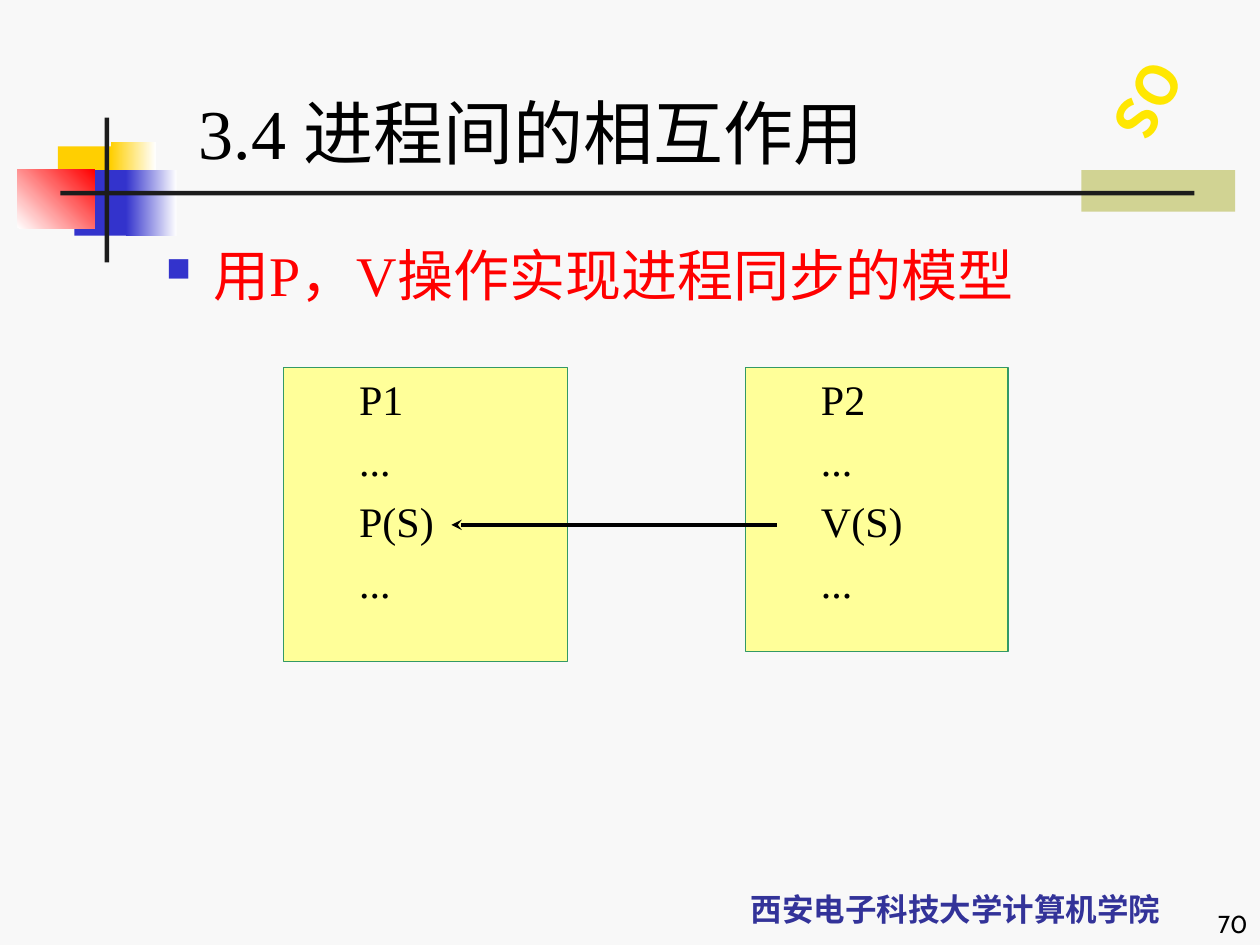
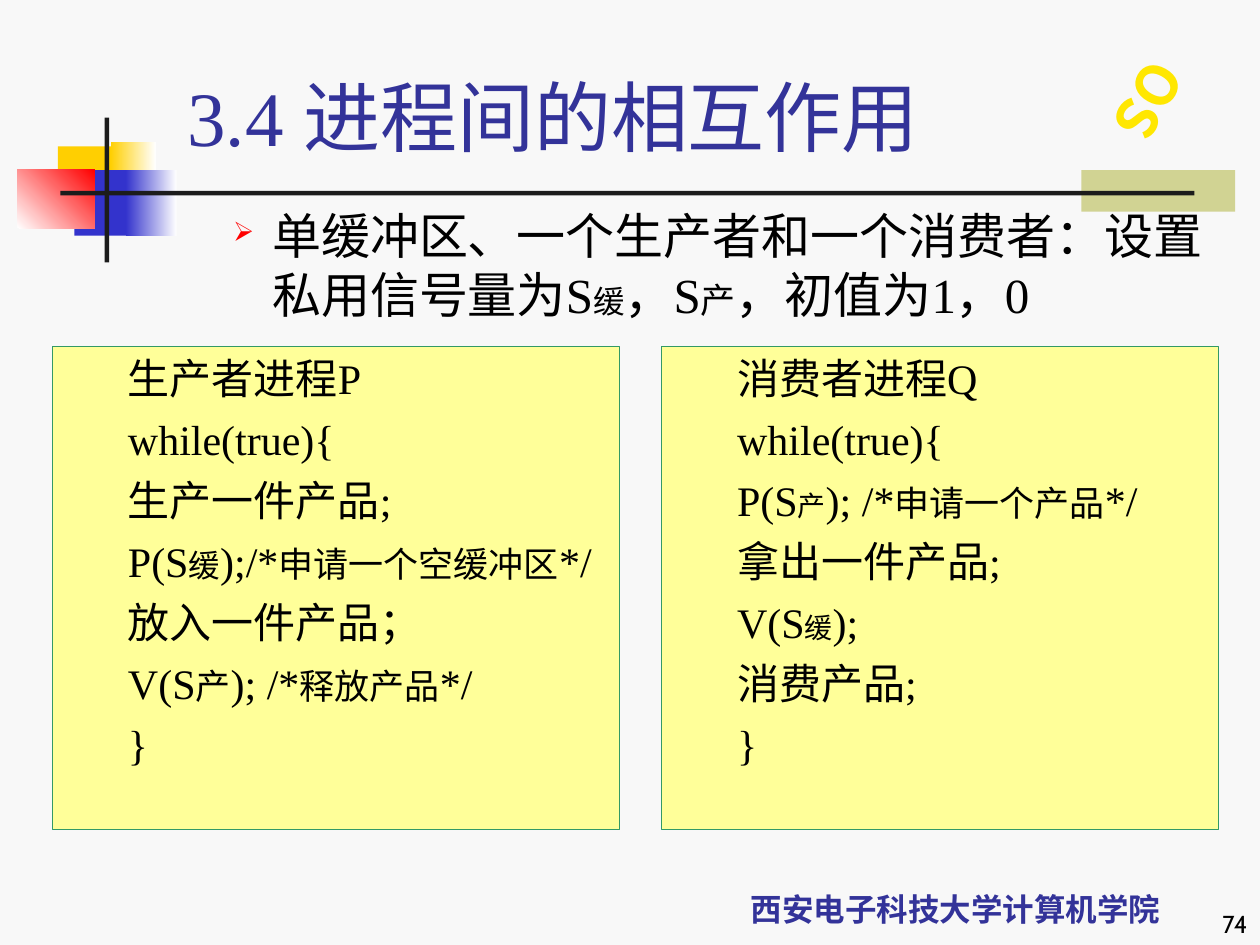
import pptx
import pptx.dml.color
import pptx.enum.shapes
import pptx.enum.text
import pptx.oxml.ns
import pptx.util
from lxml import etree

Cm = pptx.util.Cm
Pt = pptx.util.Pt
ALIGN = pptx.enum.text.PP_ALIGN
ANCHOR = pptx.enum.text.MSO_ANCHOR

SERIF = "Times New Roman"
HAN = "Noto Sans CJK SC"
BLACK, WHITE, RED = "000000", "FFFFFF", "FF0000"
BLUE, NAVY, GOLD = "3333CC", "333399", "FFCF01"
INK, OLIVE, PAPER = "1C1C1C", "D1D393", "F8F8F8"
CREAM, GREEN, SUN = "FFFF99", "339966", "FFE701"
TITLE = "3.4 进程间的相互作用"
SCHOOL = "西安电子科技大学计算机学院"


def color(code):
    return pptx.dml.color.RGBColor.from_string(code)


def add(parent, tag, **attrs):
    """Append a DrawingML element to parent."""
    node = etree.SubElement(parent, pptx.oxml.ns.qn("a:" + tag))
    for key, value in attrs.items():
        node.set(key, value)
    return node


def place(box):
    return [Cm(value) for value in box]


def mark(para, sign, tint, size):
    """Give a paragraph a bullet, or none when sign is empty."""
    props = para._p.get_or_add_pPr()
    if sign:
        add(add(props, "buClr"), "srgbClr", val=tint)
        add(props, "buSzPct", val=str(size * 1000))
        add(props, "buChar", char=sign)
    else:
        add(props, "buNone")


def write(frame, paras, size=24, font=SERIF, tint=BLACK, bold=False,
          align=ALIGN.LEFT, anchor=ANCHOR.TOP, gap=0, left=0, hang=0,
          bullet=("", BLACK, 100), wrap=True):
    """Fill a frame; a paragraph is a string or a list of strings and (text, size) pairs."""
    frame.word_wrap = wrap
    frame.vertical_anchor = anchor
    for num, parts in enumerate(paras):
        para = frame.add_paragraph() if num else frame.paragraphs[0]
        mark(para, *bullet)
        para.alignment = align
        props = para._p.get_or_add_pPr()
        props.set("marL", str(Cm(left)))
        props.set("indent", str(-Cm(hang)))
        if num:
            para.space_before = Pt(gap)
        for part in [parts] if isinstance(parts, str) else parts:
            text, points = (part, size) if isinstance(part, str) else part
            run = para.add_run()
            run.text = text
            run.font.size = Pt(points)
            run.font.name = font
            run.font.bold = bold
            run.font.color.rgb = color(tint)
            add(run._r.get_or_add_rPr(), "ea", typeface=HAN)


def label(slide, box, paras, **form):
    shape = slide.shapes.add_textbox(*place(box))
    write(shape.text_frame, paras, **form)
    return shape


def block(slide, box, fill, end=None, angle=0):
    """Draw a plain rectangle, shaded from fill to end if end is given."""
    kind = pptx.enum.shapes.MSO_SHAPE.RECTANGLE
    shape = slide.shapes.add_shape(kind, *place(box))
    shape.shadow.inherit = False
    shape.line.fill.background()
    if end:
        shape.fill.gradient()
        shape.fill.gradient_angle = angle
        for stop, code in zip(shape.fill.gradient_stops, (fill, end)):
            stop.color.rgb = color(code)
    else:
        shape.fill.solid()
        shape.fill.fore_color.rgb = color(fill)
    return shape


def panel(slide, box, lines):
    """Draw a framed box that lists the steps of one process."""
    shape = block(slide, box, CREAM)
    shape.line.color.rgb = color(GREEN)
    shape.line.width = Pt(0.75)
    write(shape.text_frame, lines, gap=6, left=2.06, hang=0.79)


def arrow(slide, start, end):
    kind = pptx.enum.shapes.MSO_CONNECTOR.STRAIGHT
    line = slide.shapes.add_connector(kind, *place(start + end))
    line.line.color.rgb = color(BLACK)
    line.line.width = Pt(2)
    add(line.line._get_or_add_ln(), "tailEnd", type="stealth")
    add(line._element.spPr, "effectLst")


def base(deck, number):
    """Add a slide with the shared ornament, footer and page number."""
    slide = deck.slides.add_slide(deck.slide_layouts[6])
    slide.background.fill.solid()
    slide.background.fill.fore_color.rgb = color(PAPER)
    block(slide, (21.8, 3.43, 3.1, 0.84), OLIVE)
    block(slide, (1.17, 2.95, 1.22, 1.32), GOLD)
    block(slide, (2.23, 2.87, 0.91, 1.32), GOLD, WHITE)
    block(slide, (1.5, 3.43, 1.17, 1.32), BLUE)
    block(slide, (2.54, 3.43, 1.02, 1.32), BLUE, WHITE)
    block(slide, (0.35, 3.42, 1.56, 1.18), WHITE, RED, 45)
    block(slide, (2.11, 2.37, 0.09, 2.92), INK)
    block(slide, (1.22, 3.85, 22.86, 0.09), INK)
    label(slide, (13.55, 17.35, 11.43, 1.48), [SCHOOL], size=18, font=HAN,
          tint=NAVY, bold=True, align=ALIGN.CENTER, anchor=ANCHOR.BOTTOM)
    badge = label(slide, (22.25, 1.02, 2.01, 1.8), ["OS"], size=32, font=HAN,
                  tint=SUN, bold=True, align=ALIGN.CENTER,
                  anchor=ANCHOR.MIDDLE, wrap=False)
    badge.rotation = 29.3
    badge.text_frame._txBody.bodyPr.set("vert", "eaVert")
    label(slide, (20.12, 17.78, 5.28, 1.27), [number], size=14, font="Cabin",
          align=ALIGN.RIGHT, anchor=ANCHOR.BOTTOM)
    return slide


def head(slide, left, top, size, tint):
    label(slide, (left, top, 21.64, 2.11), [TITLE], size=size, tint=tint,
          anchor=ANCHOR.BOTTOM)


def model(deck):
    slide = base(deck, "70")
    head(slide, 3.76, 1.52, 40, BLACK)
    label(slide, (3.1, 4.72, 21.59, 1.7), ["用P，V操作实现进程同步的模型"],
          size=32, tint=RED, left=0.95, hang=0.95, bullet=("■", BLUE, 60))
    panel(slide, (5.72, 7.41, 5.72, 5.93), ["P1", "...", "P(S)", "..."])
    panel(slide, (15.03, 7.41, 5.29, 5.72), ["P2", "...", "V(S)", "..."])
    arrow(slide, (15.66, 10.58), (9.1, 10.58))


def buffer(deck):
    slide = base(deck, "74")
    head(slide, 3.53, 1.27, 44, NAVY)
    task = ["单缓冲区、一个生产者和一个消费者：设置私用信号量为S",
            ("缓", 18), "，S", ("产", 20), "，初值为1，0"]
    label(slide, (3.18, 4.02, 21.59, 2.75), [task], size=28,
          left=2.06, hang=0.79, bullet=("➢", RED, 55))
    panel(slide, (1.06, 6.99, 11.43, 9.74), [
        "生产者进程P",
        "while(true){",
        "生产一件产品;",
        ["P(S", ("缓", 18), ");/*", ("申请一个空缓冲区", 20), "*/"],
        "放入一件产品；",
        ["V(S", ("产", 20), "); /*", ("释放产品", 20), "*/"],
        "}",
    ])
    panel(slide, (13.34, 6.99, 11.22, 9.74), [
        "消费者进程Q",
        "while(true){",
        ["P(S", ("产", 16), "); /*", ("申请一个产品", 20), "*/"],
        "拿出一件产品;",
        ["V(S", ("缓", 16), ");"],
        "消费产品;",
        "}",
    ])


def main():
    deck = pptx.Presentation()
    deck.slide_width, deck.slide_height = Cm(25.4), Cm(19.05)
    model(deck)
    buffer(deck)
    deck.save("out.pptx")


if __name__ == "__main__":
    main()
